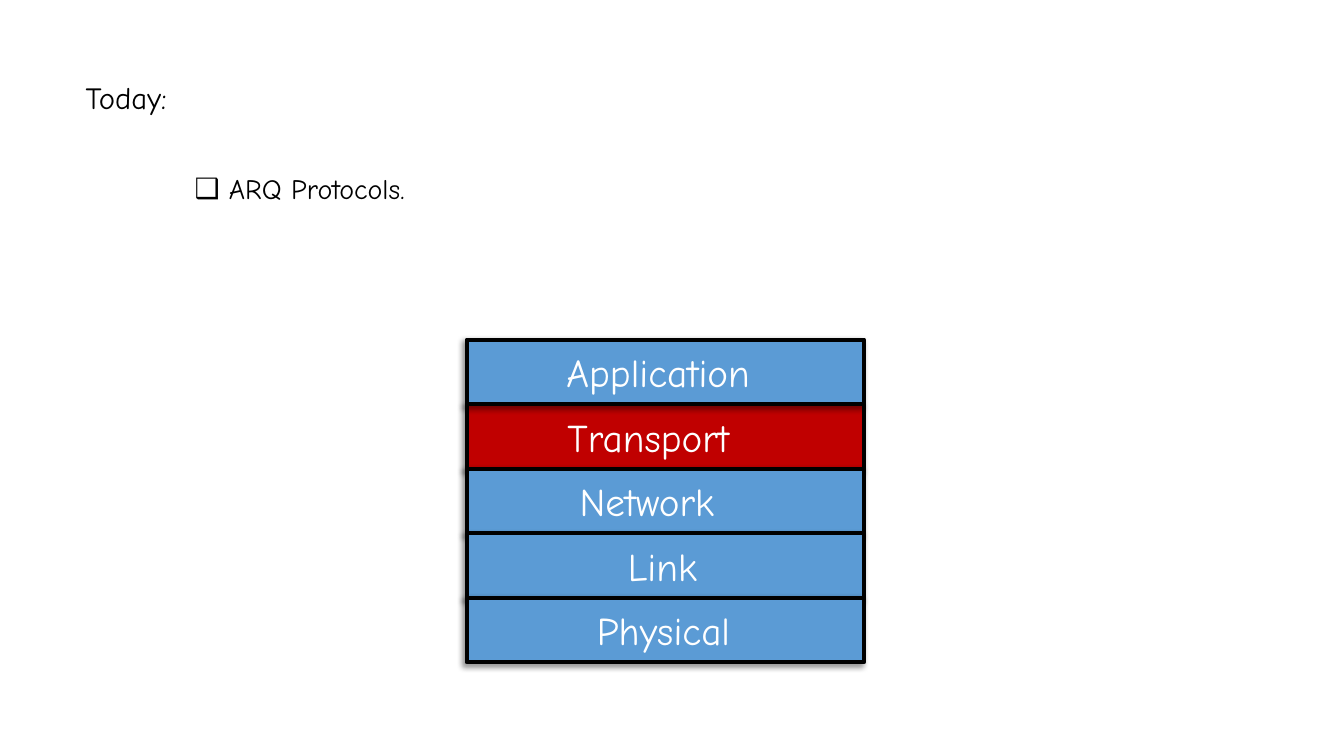
import pptx
import pptx.util
import pptx.dml.color
import pptx.enum.shapes
import pptx.enum.text
from lxml import etree

Inches = pptx.util.Inches
Pt = pptx.util.Pt
Align = pptx.enum.text.PP_ALIGN
NS = "http://schemas.openxmlformats.org/drawingml/2006/main"


def rgb(code):
    return pptx.dml.color.RGBColor.from_string(code)


def child(node, tag, **attrs):
    return etree.SubElement(node, f"{{{NS}}}{tag}", attrs)


class Deck:
    font = "Comic Neue"
    ink = "000000"
    light = "FFFFFF"

    def __init__(self, slide):
        self.slide = slide

    def style(self, shape, text, size, color, align=Align.LEFT):
        frame = shape.text_frame
        frame.word_wrap = True
        frame.auto_size = pptx.enum.text.MSO_AUTO_SIZE.NONE
        frame.vertical_anchor = pptx.enum.text.MSO_ANCHOR.TOP
        frame.text = text
        para = frame.paragraphs[0]
        para.alignment = align
        font = para.runs[0].font
        font.name, font.size = self.font, Pt(size)
        font.color.rgb = rgb(color)
        return para

    def holder(self, index, box, text, size):
        shape = self.slide.placeholders[index]
        shape.left, shape.top, shape.width, shape.height = map(Inches, box)
        para = self.style(shape, text, size, self.ink)
        para.line_spacing = 0.9
        para.space_before = Pt(0)
        return para

    def bullet(self, para, mark, indent):
        props = para._p.get_or_add_pPr()
        props.set("marL", str(Inches(indent)))
        props.set("indent", str(-Inches(indent)))
        child(props, "buChar", char=mark)

    def bar(self, box, fill):
        shape = self.slide.shapes.add_shape(
            pptx.enum.shapes.MSO_SHAPE.RECTANGLE, *map(Inches, box))
        shape.fill.solid()
        shape.fill.fore_color.rgb = rgb(fill)
        shape.line.color.rgb = rgb(self.ink)
        shape.line.width = Pt(3)
        # Soft shadow towards the lower left
        shape.shadow.inherit = False
        effects = shape._element.spPr.find(f"{{{NS}}}effectLst")
        shadow = child(effects, "outerShdw", blurRad=str(Pt(4)),
                       dist=str(Pt(3)), dir=str(135 * 60000),
                       algn="tr", rotWithShape="0")
        tone = child(shadow, "srgbClr", val=self.ink)
        child(tone, "alpha", val="40000")

    def label(self, box, text, align):
        shape = self.slide.shapes.add_textbox(*map(Inches, box))
        self.style(shape, text, 28, self.light, align)


def main():
    prs = pptx.Presentation()
    prs.slide_width, prs.slide_height = Inches(13.33), Inches(7.5)
    deck = Deck(prs.slides.add_slide(prs.slide_layouts[1]))

    # Heading and agenda
    deck.holder(0, (0.75, 0.77, 11.5, 0.51), "Today:", 22)
    item = deck.holder(1, (1.83, 1.69, 11.12, 1.64), "ARQ Protocols.", 20)
    deck.bullet(item, "❑", 0.34)

    # Protocol stack: name, label left, alignment
    layers = [
        ("Application", 5.52, Align.LEFT),
        ("Transport", 5.53, Align.LEFT),
        ("Network", 5.65, Align.LEFT),
        ("Link", 5.36, Align.CENTER),
        ("Physical", 5.37, Align.CENTER),
    ]
    top, step = 3.37, 0.64

    # The highlighted layer lies behind its neighbours
    for row in (1, 0, 2, 3, 4):
        fill = "C00000" if row == 1 else "5B9BD5"
        deck.bar((4.63, top + row * step, 3.94, step), fill)
    for row, (name, left, align) in enumerate(layers):
        deck.label((left, top + 0.04 + row * step, 2.42, 0.57), name, align)

    prs.save("out.pptx")


if __name__ == "__main__":
    main()
